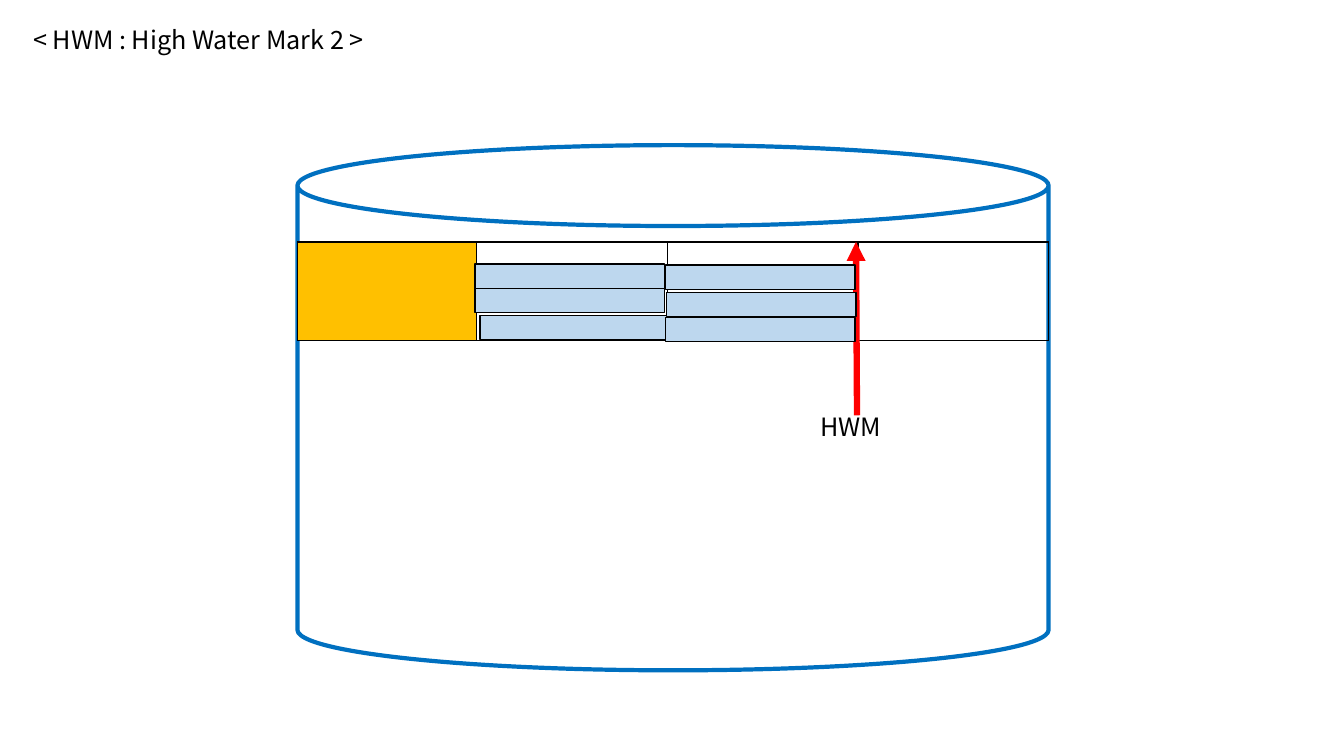
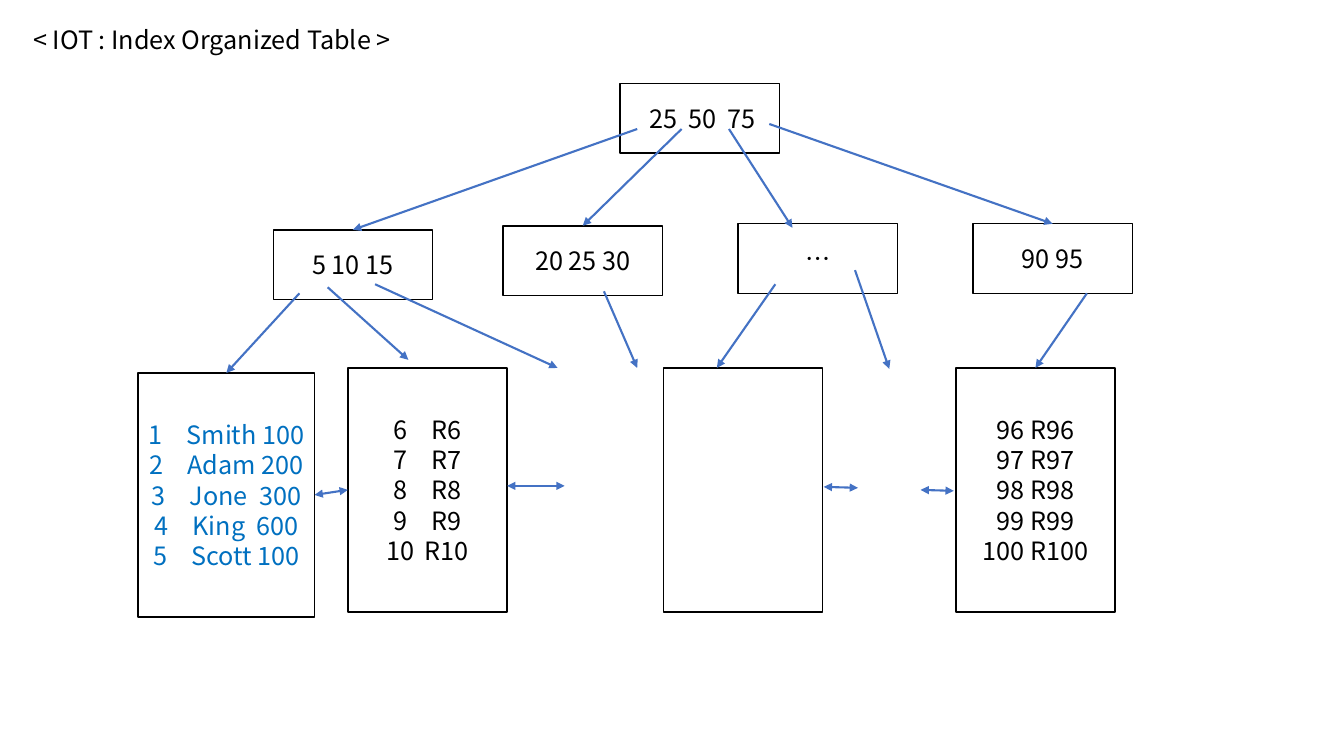
"""Build two database storage slides: high water mark and index organized table."""
from dataclasses import dataclass
from lxml.etree import SubElement
from pptx import Presentation
from pptx.dml.color import RGBColor
from pptx.enum.shapes import MSO_CONNECTOR, MSO_SHAPE
from pptx.enum.text import MSO_ANCHOR, PP_ALIGN
from pptx.oxml.ns import qn
from pptx.util import Inches, Pt


@dataclass(frozen=True)
class Theme:
    font: str = "Noto Sans CJK KR"
    size: int = 18
    black: RGBColor = RGBColor(0, 0, 0)
    white: RGBColor = RGBColor(255, 255, 255)
    blue: RGBColor = RGBColor.from_string("0070C0")
    pale: RGBColor = RGBColor.from_string("BDD7EE")
    gold: RGBColor = RGBColor.from_string("FFC000")
    red: RGBColor = RGBColor.from_string("FF0000")
    arrow: RGBColor = RGBColor.from_string("4472C4")
    thin: float = 1
    mid: float = 1.5
    wide: float = 3
    bold: float = 4.5


look = Theme()


def put(page, kind, at, text="", fill=look.white, line=look.black,
        width=look.thin, ink=look.black, start=0):
    """Add a shape, or a text box when kind is None; number lines from start."""
    spot = [Inches(n) for n in at]
    if kind is None:
        shape = page.shapes.add_textbox(*spot)
    else:
        shape = page.shapes.add_shape(kind, *spot)
        shape.shadow.inherit = False
        shape.fill.solid()
        shape.fill.fore_color.rgb = fill
        shape.line.color.rgb = line
        shape.line.width = Pt(width)
    frame = shape.text_frame
    frame.word_wrap = True
    frame.vertical_anchor = MSO_ANCHOR.MIDDLE if kind else MSO_ANCHOR.TOP
    frame.text = text
    for para in frame.paragraphs:
        para.alignment = PP_ALIGN.CENTER if kind else PP_ALIGN.LEFT
        if start:
            props = para._p.get_or_add_pPr()
            props.set("marL", str(Inches(0.38)))
            props.set("indent", str(-Inches(0.38)))
            SubElement(props, qn("a:buAutoNum"), type="arabicPlain", startAt=str(start))
        for run in para.runs:
            run.font.size = Pt(look.size)
            run.font.color.rgb = ink
            run.font.name = look.font
            SubElement(run._r.get_or_add_rPr(), qn("a:ea"), typeface=look.font)
    return shape


def link(page, begin, end, color=look.arrow, width=look.mid, both=False):
    """Add an arrow; each end is a point or a (shape, side) pair."""
    wire = page.shapes.add_connector(MSO_CONNECTOR.STRAIGHT, 0, 0, 0, 0)
    if isinstance(begin[0], float):
        wire.begin_x, wire.begin_y = Inches(begin[0]), Inches(begin[1])
    else:
        wire.begin_connect(*begin)
    if isinstance(end[0], float):
        wire.end_x, wire.end_y = Inches(end[0]), Inches(end[1])
    else:
        wire.end_connect(*end)
    wire.line.color.rgb = color
    wire.line.width = Pt(width)
    edge = wire.line._get_or_add_ln()
    for tag in ["a:headEnd", "a:tailEnd"] if both else ["a:tailEnd"]:
        SubElement(edge, qn(tag), type="triangle")
    SubElement(wire._element.spPr, qn("a:effectLst"))


deck = Presentation()
deck.slide_width, deck.slide_height = Inches(13.33), Inches(7.5)
pages = []
for title in ["< HWM : High Water Mark 2 >", "< IOT : Index Organized Table >"]:
    page = deck.slides.add_slide(deck.slide_layouts[6])
    put(page, None, (0.23, 0.19, 4.84, 0.4), title)
    pages.append(page)
mark, tree = pages

drum = put(mark, MSO_SHAPE.CAN, (2.95, 1.44, 7.45, 5.21), line=look.blue, width=look.wide)
drum.adjustments[0] = 0.154

grid = mark.shapes.add_table(1, 4, Inches(2.95), Inches(2.4), Inches(7.45), Inches(0.98)).table
grid.first_row = grid.horz_banding = False
for col, wide in zip(grid.columns, [1.78, 1.89, 1.89, 1.89]):
    col.width = Inches(wide)
for cell in grid.iter_cells():
    props = cell._tc.get_or_add_tcPr()
    for tag in ["a:lnL", "a:lnR", "a:lnT", "a:lnB"]:
        edge = SubElement(props, qn(tag), w=str(Pt(look.thin)))
        paint = SubElement(edge, qn("a:solidFill"))
        SubElement(paint, qn("a:srgbClr"), val=str(look.black))
    cell.fill.background()
first = grid.cell(0, 0)
first.fill.solid()
first.fill.fore_color.rgb = look.gold

link(mark, (8.5, 4.12), (8.49, 2.4), look.red, look.bold)
put(mark, None, (7.98, 4.03, 1.41, 0.4), " HWM")
for left, top in [(4.76, 3.13), (4.71, 2.86), (4.71, 2.62),
                  (6.6, 3.15), (6.61, 2.9), (6.6, 2.63)]:
    put(mark, MSO_SHAPE.RECTANGLE, (left, top, 1.88, 0.24), fill=look.pale)

nodes = []
for left, top, text in [
    (6.15, 0.83, " 25  50  75"),
    (2.71, 2.28, "5 10 15"),
    (4.99, 2.24, "20 25 30"),
    (7.32, 2.22, "…"),
    (9.65, 2.22, "90 95"),
]:
    nodes.append(put(tree, MSO_SHAPE.RECTANGLE, (left, top, 1.58, 0.69), text))
root, low, next_, more, high = nodes

names = "Smith 100\nAdam 200\nJone  300\nKing  600\nScott 100"
rows = "\n".join(f"R{n}" for n in range(6, 11))
tail = "\n".join(f"{n} R{n}" for n in range(96, 101))
leaves = []
for left, top, wide, text, ink, start in [
    (1.37, 3.7, 1.75, names, look.blue, 1),
    (3.45, 3.65, 1.58, rows, look.black, 6),
    (6.58, 3.65, 1.58, "", look.black, 0),
    (9.48, 3.65, 1.58, tail, look.black, 0),
]:
    leaves.append(put(tree, MSO_SHAPE.RECTANGLE, (left, top, wide, 2.42), text,
                      ink=ink, start=start))
smith, six, blank, last = leaves

for begin, end in [
    ((6.32, 1.28), (low, 0)),
    ((6.76, 1.28), (next_, 0)),
    ((7.23, 1.28), (7.86, 2.26)),
    ((7.63, 1.23), (high, 0)),
    ((2.97, 2.91), (smith, 0)),
    ((3.25, 2.85), (4.05, 3.57)),
    ((3.72, 2.82), (5.53, 3.65)),
    ((5.99, 2.89), (6.32, 3.65)),
    ((7.69, 2.82), (7.11, 3.65)),
    ((8.48, 2.68), (8.82, 3.66)),
    ((10.78, 2.91), (last, 0)),
]:
    link(tree, begin, end)

for begin, end in [
    ((smith, 3), (six, 1)),
    ((5.6, 4.82), (5.03, 4.82)),
    ((8.17, 4.83), (8.51, 4.84)),
    ((9.13, 4.86), (9.46, 4.87)),
]:
    link(tree, begin, end, both=True)

deck.save("out.pptx")
